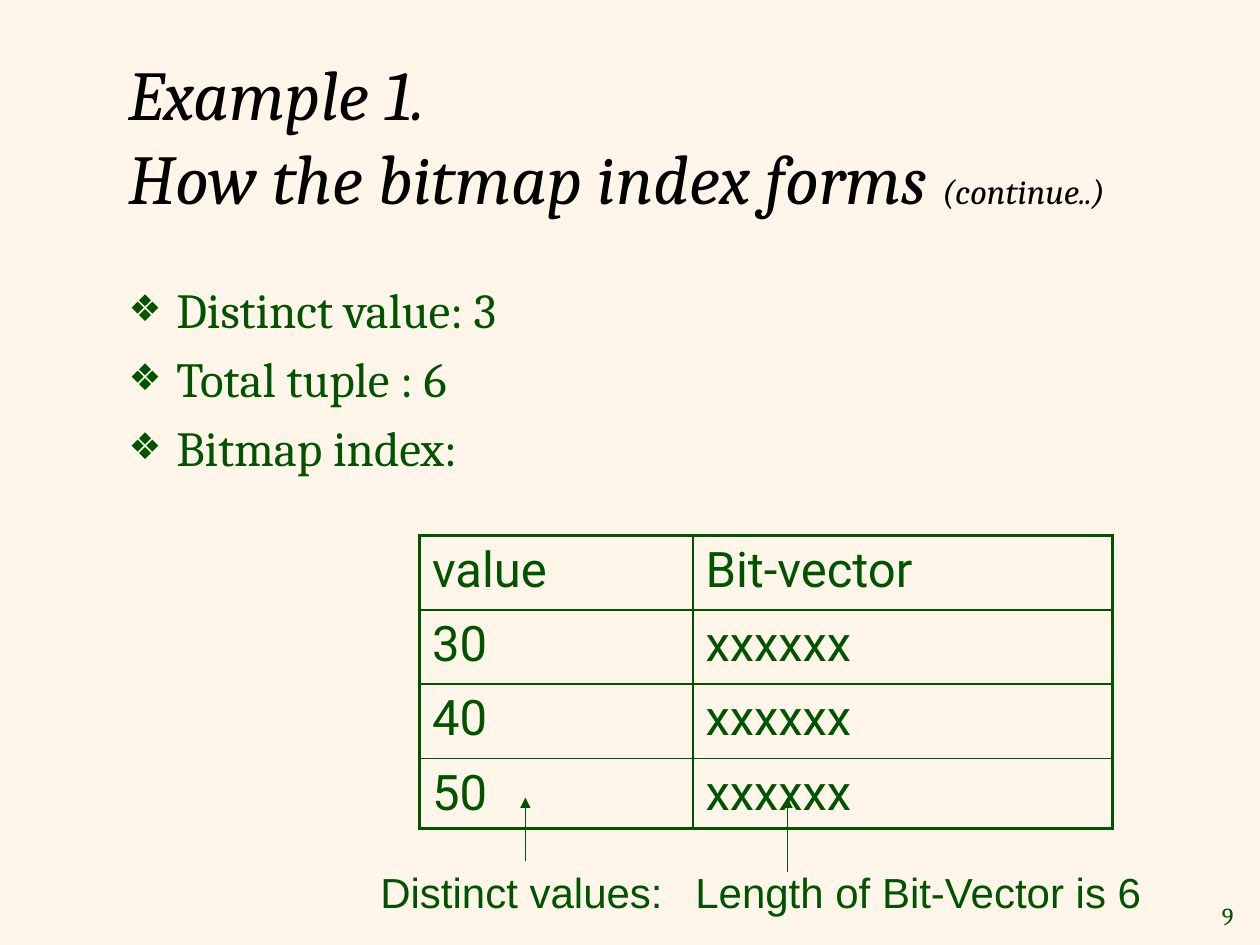
from lxml import etree
from pptx import Presentation
from pptx.dml.color import RGBColor
from pptx.enum.shapes import MSO_CONNECTOR as Connector
from pptx.enum.text import MSO_ANCHOR as Anchor, MSO_AUTO_SIZE as AutoSize, PP_ALIGN as Align
from pptx.oxml.ns import qn
from pptx.util import Inches, Pt

GREEN, BLACK, CREAM = "005400", "000000", "FFF6E9"
SERIF, SANS, TABLE_FONT = "Cambria", "Arial", "Roboto"
THIN, THICK = 1, 2.25


def color(value):
    return RGBColor.from_string(value)


def add_element(parent, tag, **attributes):
    element = etree.SubElement(parent, qn(tag))
    for name, value in attributes.items():
        element.set(name, str(value))
    return element


class SlideBuilder:
    """Holds the page and draws each kind of element on it."""

    def __init__(self, page):
        self.page = page
        fill = page.background.fill
        fill.solid()
        fill.fore_color.rgb = color(CREAM)

    def add_span(self, para, text, size, font, ink=GREEN, italic=False):
        span = para.add_run()
        span.text = text
        span.font.size = Pt(size)
        span.font.name = font
        span.font.italic = italic
        span.font.color.rgb = color(ink)

    def place(self, shape, left, top, width, height):
        shape.left, shape.top = Inches(left), Inches(top)
        shape.width, shape.height = Inches(width), Inches(height)
        shape.text_frame.auto_size = AutoSize.NONE

    def title(self, lines, aside, area):
        shape = self.page.shapes.title
        self.place(shape, *area)
        shape.text_frame.vertical_anchor = Anchor.MIDDLE
        para = shape.text_frame.paragraphs[0]
        para.alignment = Align.LEFT
        for index, line in enumerate(lines):
            if index:
                para.add_line_break()
            self.add_span(para, line, 40, SERIF, BLACK, True)
        self.add_span(para, aside, 20, SERIF, BLACK, True)

    def bullets(self, items, area):
        body = self.page.placeholders[1]
        self.place(body, *area)
        frame = body.text_frame
        for index, item in enumerate(items):
            para = frame.add_paragraph() if index else frame.paragraphs[0]
            para.space_before = Pt(5.6 if index else 0)
            props = para._p.get_or_add_pPr()
            props.set("marL", str(Inches(0.38)))
            props.set("indent", str(-Inches(0.38)))
            add_element(add_element(props, "a:buClr"), "a:srgbClr", val=GREEN)
            add_element(props, "a:buSzPct", val=75000)
            add_element(props, "a:buChar", char="❖")
            self.add_span(para, item, 28, SERIF)

    def label(self, text, area, size=24, font=SANS, align=Align.LEFT, wrap=True):
        box = self.page.shapes.add_textbox(*map(Inches, area))
        box.text_frame.word_wrap = wrap
        para = box.text_frame.paragraphs[0]
        para.alignment = align
        self.add_span(para, text, size, font)
        return box

    def border(self, cell, side, width):
        line = add_element(cell._tc.get_or_add_tcPr(), "a:ln" + side, w=Pt(width))
        add_element(add_element(line, "a:solidFill"), "a:srgbClr", val=GREEN)

    def table(self, rows, left, top, widths, heights):
        table = self.page.shapes.add_table(
            len(rows), len(widths), Inches(left), Inches(top),
            Inches(sum(widths)), Inches(sum(heights))).table
        table.first_row = table.horz_banding = False
        for column, width in zip(table.columns, widths):
            column.width = Inches(width)
        last_row, last_column = len(rows) - 1, len(widths) - 1
        for r, (values, height) in enumerate(zip(rows, heights)):
            table.rows[r].height = Inches(height)
            for c, value in enumerate(values):
                cell = table.cell(r, c)
                self.add_span(cell.text_frame.paragraphs[0], value, 28, TABLE_FONT)
                # Thick outer frame, thin inner grid
                outer = {"L": c == 0, "R": c == last_column,
                         "T": r == 0, "B": r == last_row}
                for side, on_edge in outer.items():
                    self.border(cell, side, THICK if on_edge else THIN)
                cell.fill.background()

    def arrow(self, x, start, end):
        line = self.page.shapes.add_connector(
            Connector.STRAIGHT, Inches(x), Inches(start), Inches(x), Inches(end))
        line.line.color.rgb = color(GREEN)
        line.line.width = Pt(0.75)
        add_element(line.line._get_or_add_ln(), "a:tailEnd", type="triangle")
        add_element(line._element.spPr, "a:effectLst")


def main():
    deck = Presentation()
    deck.slide_width, deck.slide_height = Inches(10), Inches(7.5)
    slide = SlideBuilder(deck.slides.add_slide(deck.slide_layouts[1]))

    # Heading and facts
    slide.title(["Example 1. ", "How the bitmap index forms "], "(continue..)",
                (0.92, 0.46, 8.5, 1.21))
    slide.bullets(["Distinct value: 3", "Total tuple : 6", "Bitmap index:"],
                  (0.92, 2.17, 8.5, 4.46))

    # Bitmap index table
    rows = [("value", "Bit-vector")] + [(value, "xxxxxx") for value in ("30", "40", "50")]
    slide.table(rows, 3.33, 4.25, [2.17, 3.33], [0.59, 0.59, 0.59, 0.49])

    # Notes pointing at the columns
    slide.label("Distinct values:", (2.92, 6.83, 2.67, 0.5))
    slide.arrow(4.17, 6.83, 6.33)
    slide.label("Length of Bit-Vector is 6", (5.42, 6.83, 3.75, 0.5))
    slide.arrow(6.25, 6.92, 6.33)

    # Page number
    number = slide.label("9", (9.45, 7.1, 0.44, 0.33), 14, SERIF, Align.RIGHT, False)
    number.text_frame.vertical_anchor = Anchor.MIDDLE

    deck.save("out.pptx")


if __name__ == "__main__":
    main()
